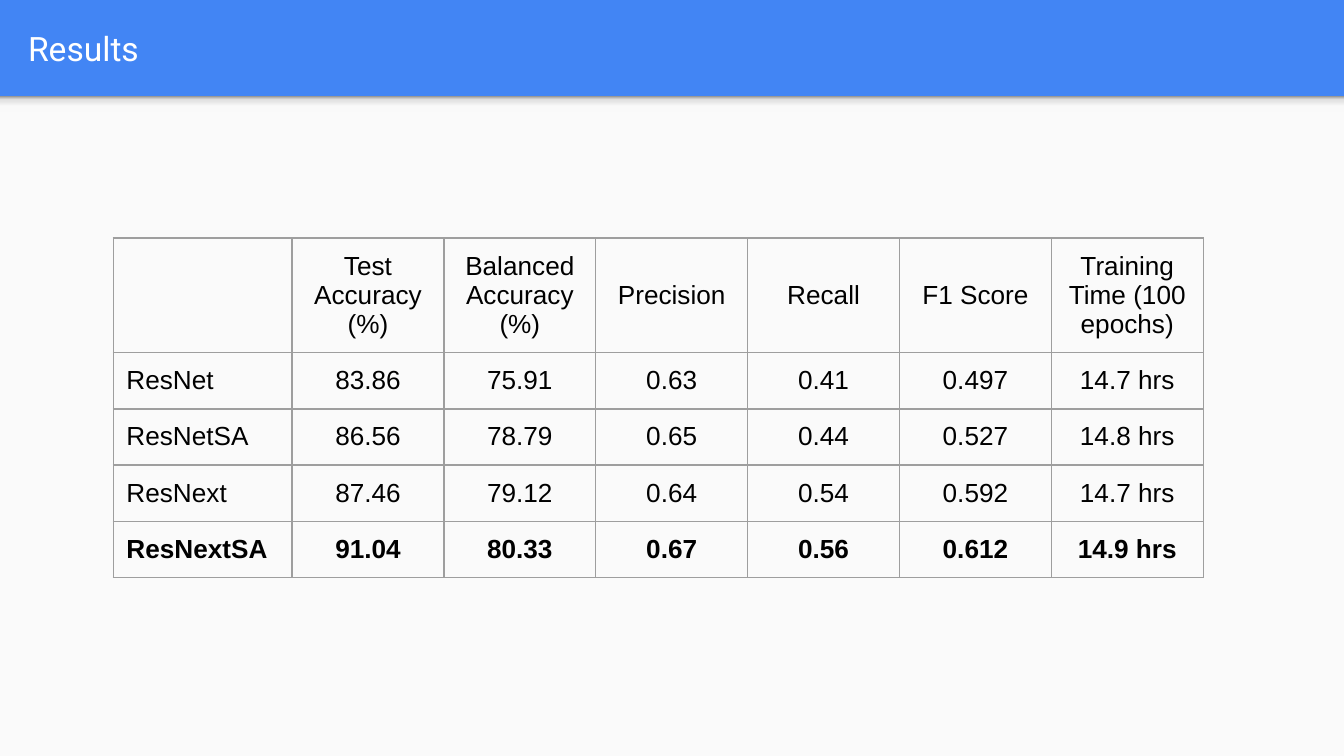
from lxml import etree
from pptx import Presentation
from pptx import util as u
from pptx.dml.color import RGBColor
from pptx.enum import shapes, text
from pptx.oxml import ns

BLUE = RGBColor(0x42, 0x85, 0xF4)
PAPER = RGBColor(0xFA, 0xFA, 0xFA)
WHITE = RGBColor(0xFF, 0xFF, 0xFF)
BLACK = RGBColor(0, 0, 0)
GRID = RGBColor(0x9E, 0x9E, 0x9E)
SHADE_STOPS = [
    (0, RGBColor(0xF9, 0xF9, 0xF9)),
    (36, RGBColor(0xF9, 0xF9, 0xF9)),
    (80, RGBColor(0xDE, 0xDE, 0xDE)),
    (100, RGBColor(0x99, 0x99, 0x99)),
]

PAGE_WIDTH, PAGE_HEIGHT = u.Cm(25.4), u.Cm(14.29)
BAND_HEIGHT = u.Cm(1.82)
INSET = u.Cm(0.25)

RESULTS = [
    ["", "Test Accuracy (%)", "Balanced Accuracy (%)", "Precision", "Recall",
     "F1 Score", "Training Time (100 epochs)"],
    ["ResNet", "83.86", "75.91", "0.63", "0.41", "0.497", "14.7 hrs"],
    ["ResNetSA", "86.56", "78.79", "0.65", "0.44", "0.527", "14.8 hrs"],
    ["ResNext", "87.46", "79.12", "0.64", "0.54", "0.592", "14.7 hrs"],
    ["ResNextSA", "91.04", "80.33", "0.67", "0.56", "0.612", "14.9 hrs"],
]


def add_color(parent, color):
    solid = etree.SubElement(parent, ns.qn("a:srgbClr"))
    solid.set("val", str(color))


def add_panel(page, left, top, width, height):
    panel = page.shapes.add_shape(
        shapes.MSO_SHAPE.RECTANGLE, left, top, width, height)
    panel.shadow.inherit = False
    panel.line.fill.background()
    return panel


def add_body(page, left, top, width, height):
    """Light page area with a soft shade along its top edge."""
    body = add_panel(page, left, top, width, height)
    body.fill.solid()
    body.fill.fore_color.rgb = PAPER

    shade = add_panel(page, left, top, width, u.Cm(0.3))
    shade.fill.gradient()
    shade.fill.gradient_angle = 90
    stops = shade._element.spPr.find(".//" + ns.qn("a:gsLst"))
    for stop in list(stops):
        stops.remove(stop)
    for percent, color in SHADE_STOPS:
        stop = etree.SubElement(stops, ns.qn("a:gs"), pos=str(percent * 1000))
        add_color(stop, color)


def set_title(page, wording, left, top, width, height):
    title = page.shapes.title
    title.left, title.top, title.width, title.height = left, top, width, height
    frame = title.text_frame
    frame.text = wording
    frame.word_wrap = True
    frame.auto_size = text.MSO_AUTO_SIZE.NONE
    frame.vertical_anchor = text.MSO_ANCHOR.MIDDLE
    frame.margin_left = frame.margin_right = INSET
    frame.margin_top = frame.margin_bottom = INSET
    para = frame.paragraphs[0]
    para.alignment = text.PP_ALIGN.LEFT
    para.font.name, para.font.size = "Roboto", u.Pt(18)
    para.font.color.rgb = WHITE


def set_borders(cell):
    properties = cell._tc.get_or_add_tcPr()
    for side in ("lnL", "lnR", "lnT", "lnB"):
        line = etree.SubElement(
            properties, ns.qn("a:" + side), w=str(u.Pt(0.75)))
        add_color(etree.SubElement(line, ns.qn("a:solidFill")), GRID)


def format_cell(cell, wording, centred, middle, bold):
    set_borders(cell)
    cell.fill.background()
    cell.margin_left = cell.margin_right = INSET
    cell.margin_top = cell.margin_bottom = INSET
    if middle:
        cell.vertical_anchor = text.MSO_ANCHOR.MIDDLE
    cell.text = wording
    para = cell.text_frame.paragraphs[0]
    para.alignment = text.PP_ALIGN.CENTER if centred else text.PP_ALIGN.LEFT
    para.font.name, para.font.size = "Arial", u.Pt(14)
    para.font.bold = bold
    para.font.color.rgb = BLACK


def add_results(page, left, top, width, height):
    """Results table: wider name column, taller header, best model in bold."""
    row_count, column_count = len(RESULTS), len(RESULTS[0])
    table = page.shapes.add_table(
        row_count, column_count, left, top, width, height).table
    table.first_row = table.horz_banding = False

    name_width, header_height = u.Cm(3.38), u.Cm(2.17)
    for index, column in enumerate(table.columns):
        column.width = (
            (width - name_width) // (column_count - 1) if index else name_width)
    for index, row in enumerate(table.rows):
        row.height = (
            (height - header_height) // (row_count - 1)
            if index else header_height)

    for row_index, values in enumerate(RESULTS):
        for column_index, wording in enumerate(values):
            format_cell(
                table.cell(row_index, column_index), wording,
                centred=column_index > 0,
                middle=row_index == 0,
                bold=row_index == row_count - 1)


def main():
    deck = Presentation()
    deck.slide_width, deck.slide_height = PAGE_WIDTH, PAGE_HEIGHT
    page = deck.slides.add_slide(deck.slide_layouts[5])
    page.background.fill.solid()
    page.background.fill.fore_color.rgb = BLUE

    add_body(page, 0, BAND_HEIGHT, PAGE_WIDTH, PAGE_HEIGHT - BAND_HEIGHT)
    set_title(page, "Results", u.Cm(0.28), u.Cm(0.06), u.Cm(24.5), u.Cm(1.68))
    add_results(page, u.Cm(2.14), u.Cm(4.5), u.Cm(20.6), u.Cm(6.41))
    deck.save("out.pptx")


if __name__ == "__main__":
    main()
